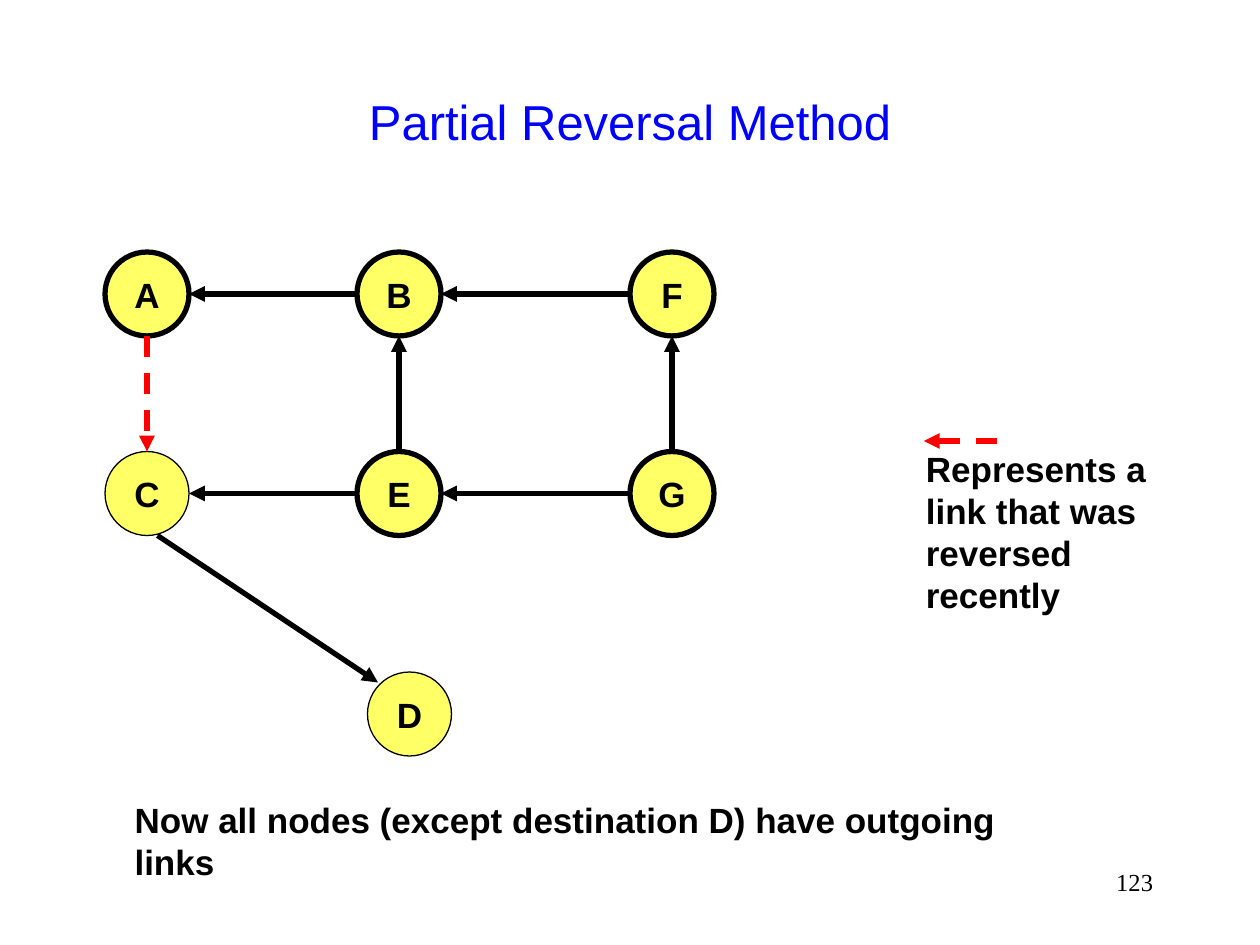
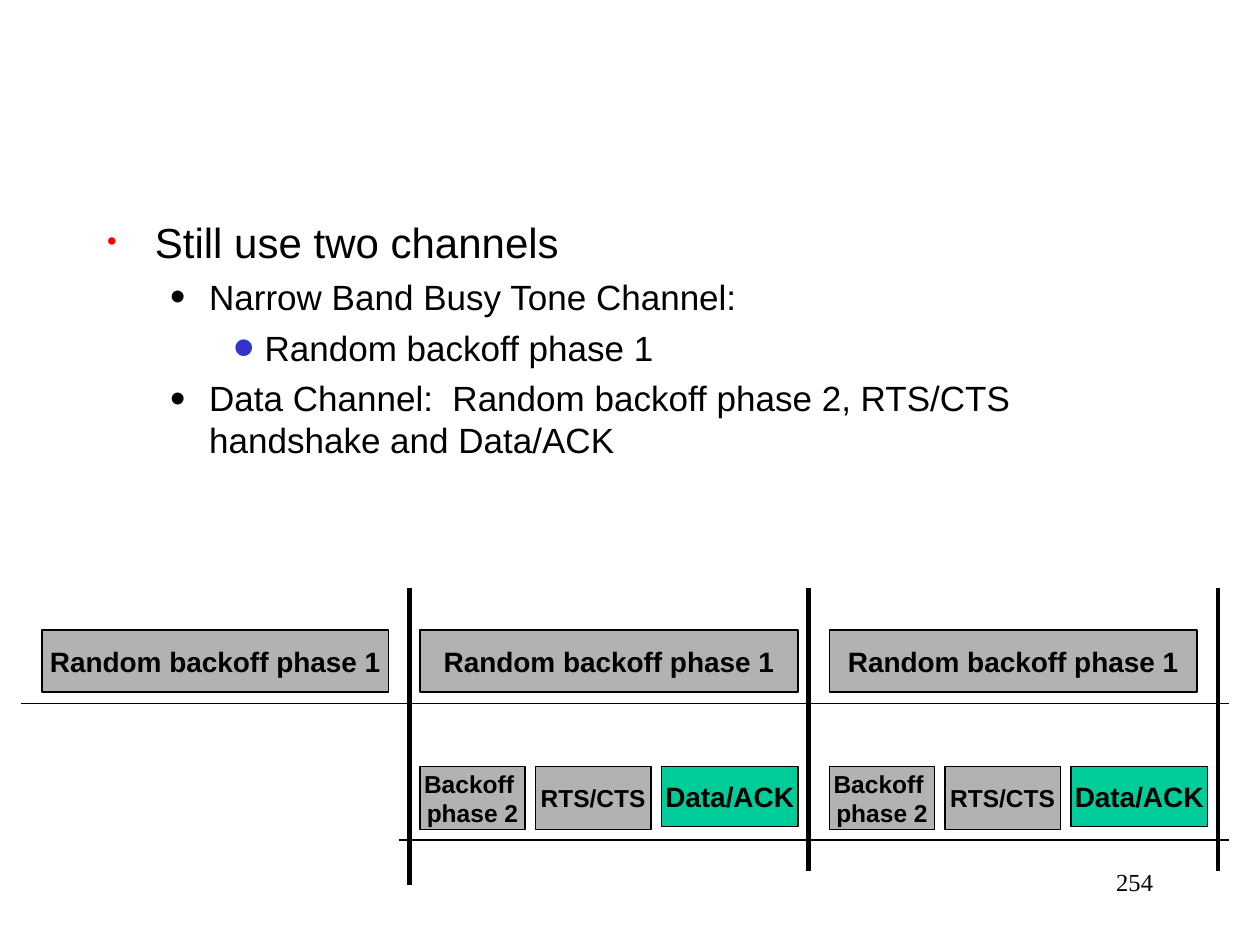
import pptx
import pptx.dml.color
import pptx.enum.dml
import pptx.enum.shapes
import pptx.enum.text
import pptx.oxml.ns
import pptx.util
from dataclasses import dataclass
from lxml import etree

ALIGN = pptx.enum.text.PP_ALIGN
ANCHOR = pptx.enum.text.MSO_ANCHOR
SHAPE = pptx.enum.shapes.MSO_SHAPE

# The slide is a grid of 120 columns by 90 rows, twelve cells to the inch
COLUMNS, ROWS = 120, 90
CELL = pptx.util.Inches(1) // 12


@dataclass(frozen=True)
class Theme:
    font: str = "Arial"
    number_font: str = "Times New Roman"
    title: str = "0000FF"
    ink: str = "000000"
    node: str = "FFFF66"
    reversed_link: str = "FF0000"
    control: str = "B2B2B2"
    data: str = "00CC99"
    title_size: int = 28
    lead_size: int = 24
    text_size: int = 20
    phase_size: int = 16
    small_size: int = 14
    thin: float = 0.75
    divider: float = 2.75
    thick: float = 3


@dataclass(frozen=True)
class Bullet:
    size: int
    before: int
    indent: float
    hang: float
    color: str
    percent: int


THEME = Theme()
BULLETS = [
    Bullet(THEME.lead_size, 6, 0.38, 0.38, "FF0000", 65),
    Bullet(THEME.text_size, 5, 0.81, 0.31, THEME.ink, 125),
    Bullet(THEME.text_size, 5, 1.25, 0.25, "3333CC", 175),
]


def grid(*cells):
    return [round(cell * CELL) for cell in cells]


def rgb(color):
    return pptx.dml.color.RGBColor.from_string(color)


def add_xml(parent, tag, **attributes):
    return etree.SubElement(parent, pptx.oxml.ns.qn(tag), attributes)


def place(sp, left, top, width, height):
    sp.left, sp.top, sp.width, sp.height = grid(left, top, width, height)


def format_runs(p, size, color=THEME.ink, bold=False, font=THEME.font):
    for r in p.runs:
        r.font.name = font
        r.font.size = pptx.util.Pt(size)
        r.font.bold = bold
        r.font.color.rgb = rgb(color)


def write(sp, text, size, align=ALIGN.LEFT, anchor=ANCHOR.MIDDLE,
          wrap=False, **style):
    tf = sp.text_frame
    tf.text = text
    tf.word_wrap = wrap
    tf.vertical_anchor = anchor
    for p in tf.paragraphs:
        p.alignment = align
        format_runs(p, size, **style)


def add_title(slide, text):
    sp = slide.shapes.title
    place(sp, 9, 4, 102, 15)
    write(sp, text, THEME.title_size, ALIGN.CENTER, wrap=True,
          color=THEME.title)


def add_page_number(slide, number):
    sp = slide.shapes.add_textbox(*grid(86, 82, 25, 6))
    write(sp, str(number), THEME.small_size, ALIGN.RIGHT, ANCHOR.TOP,
          wrap=True, font=THEME.number_font)


def add_note(slide, text, left, top, width, height):
    sp = slide.shapes.add_textbox(*grid(left, top, width, height))
    write(sp, text, THEME.text_size, bold=True)
    sp.text_frame.auto_size = pptx.enum.text.MSO_AUTO_SIZE.SHAPE_TO_FIT_TEXT


def add_labelled(slide, kind, box, text, size, fill, line_width=THEME.thin):
    sp = slide.shapes.add_shape(kind, *grid(*box))
    sp.shadow.inherit = False
    sp.fill.solid()
    sp.fill.fore_color.rgb = rgb(fill)
    sp.line.color.rgb = rgb(THEME.ink)
    sp.line.width = pptx.util.Pt(line_width)
    write(sp, text, size, ALIGN.CENTER, bold=True)


def add_line(slide, start, end, width, color=THEME.ink, dashed=False,
             arrow=None):
    """Draw a line; arrow is headEnd (at start) or tailEnd (at end)."""
    cxn = slide.shapes.add_connector(
        pptx.enum.shapes.MSO_CONNECTOR.STRAIGHT, *grid(*start, *end))
    cxn.line.color.rgb = rgb(color)
    cxn.line.width = pptx.util.Pt(width)
    if dashed:
        cxn.line.dash_style = pptx.enum.dml.MSO_LINE.DASH
    sp_pr = cxn._element.spPr
    if arrow:
        ln = sp_pr.find(pptx.oxml.ns.qn("a:ln"))
        add_xml(ln, f"a:{arrow}", type="triangle")
    add_xml(sp_pr, "a:effectLst")


def add_link(slide, start, end, arrow="tailEnd", reverse=False):
    color = THEME.reversed_link if reverse else THEME.ink
    add_line(slide, start, end, THEME.thick, color, reverse, arrow)


def add_bullets(slide, items):
    sp = slide.placeholders[1]
    place(sp, 9, 20, 102, 60)
    tf = sp.text_frame
    tf.text = "\n".join(text for _, text in items)
    tf.auto_size = pptx.enum.text.MSO_AUTO_SIZE.NONE
    for p, (level, _) in zip(tf.paragraphs, items):
        bullet = BULLETS[level]
        p.level = level
        p.space_before = pptx.util.Pt(bullet.before)
        format_runs(p, bullet.size)
        p_pr = p._p.get_or_add_pPr()
        p_pr.set("marL", str(pptx.util.Inches(bullet.indent)))
        p_pr.set("indent", str(-pptx.util.Inches(bullet.hang)))
        add_xml(add_xml(p_pr, "a:buClr"), "a:srgbClr", val=bullet.color)
        add_xml(p_pr, "a:buSzPct", val=str(bullet.percent * 1000))
        add_xml(p_pr, "a:buFont", typeface=THEME.font)
        add_xml(p_pr, "a:buChar", char="•")


def build_reversal_slide(prs):
    slide = prs.slides.add_slide(prs.slide_layouts[5])
    add_title(slide, "Partial Reversal Method")

    # Network nodes, by left column and top row
    diameter, radius = 8, 4
    nodes = {"A": (10, 24), "B": (34, 24), "F": (60, 24),
             "C": (10, 43), "E": (34, 43), "G": (60, 43), "D": (35, 64)}
    for name, (left, top) in nodes.items():
        width = THEME.thin if name in "CD" else THEME.thick
        add_labelled(slide, SHAPE.OVAL, (left, top, diameter, diameter),
                     name, THEME.text_size, THEME.node, width)

    # Links along the rows, then up the columns
    for source, target in ("BA", "FB", "EC", "GE"):
        (x1, y), (x2, _) = nodes[source], nodes[target]
        add_link(slide, (x1, y + radius), (x2 + diameter, y + radius))
    for source, target in ("EB", "GF"):
        (x, y1), (_, y2) = nodes[source], nodes[target]
        add_link(slide, (x + radius, y1), (x + radius, y2 + diameter))

    # The reversed link and the link to the destination
    (ax, ay), (cx, cy), (dx, dy) = (nodes[name] for name in "ACD")
    add_link(slide, (ax + radius, ay + diameter), (cx + radius, cy),
             reverse=True)
    add_link(slide, (cx + radius + 1, cy + diameter), (dx + 1, dy + 1))

    # Legend and conclusion
    add_link(slide, (88, 42), (96, 42), "headEnd", reverse=True)
    add_note(slide, "Represents a\nlink that was\nreversed recently",
             87, 44, 30, 13.2)
    add_note(slide, "Now all nodes (except destination D) have outgoing links",
             11.64, 77.4, 92.9, 5.25)
    add_page_number(slide, 123)


def build_channels_slide(prs):
    slide = prs.slides.add_slide(prs.slide_layouts[1])
    title = slide.shapes.title._element
    title.getparent().remove(title)
    add_bullets(slide, [
        (0, "Still use two channels"),
        (1, "Narrow Band Busy Tone Channel:"),
        (2, "Random backoff phase 1"),
        (1, "Data Channel:  Random backoff phase 2, "
            "RTS/CTS handshake and Data/ACK"),
    ])

    # Channel baselines and dividers between rounds
    for left, row in ((2, 67), (38, 80)):
        add_line(slide, (left, row), (117, row), THEME.thin)
    for column, bottom in ((39, 84.25), (77, 83), (116, 83)):
        add_line(slide, (column, 56), (column, bottom), THEME.divider)

    # Busy tone channel
    for left, width in ((4, 33), (40, 36), (79, 35)):
        add_labelled(slide, SHAPE.RECTANGLE, (left, 60, width, 5.9),
                     "Random backoff phase 1", THEME.phase_size,
                     THEME.control)

    # Data channel: the same three steps in each round
    steps = [
        (0, 10, 6, "Backoff \nphase 2", THEME.small_size, THEME.control),
        (11, 11, 6, "RTS/CTS", THEME.small_size, THEME.control),
        (23, 13, 5.75, "Data/ACK", THEME.phase_size, THEME.data),
    ]
    for start in (40, 79):
        for offset, width, height, text, size, fill in steps:
            add_labelled(slide, SHAPE.RECTANGLE,
                         (start + offset, 73, width, height),
                         text, size, fill)
    add_page_number(slide, 254)


def main():
    prs = pptx.Presentation()
    prs.slide_width, prs.slide_height = grid(COLUMNS, ROWS)
    build_reversal_slide(prs)
    build_channels_slide(prs)
    prs.save("out.pptx")


if __name__ == "__main__":
    main()
